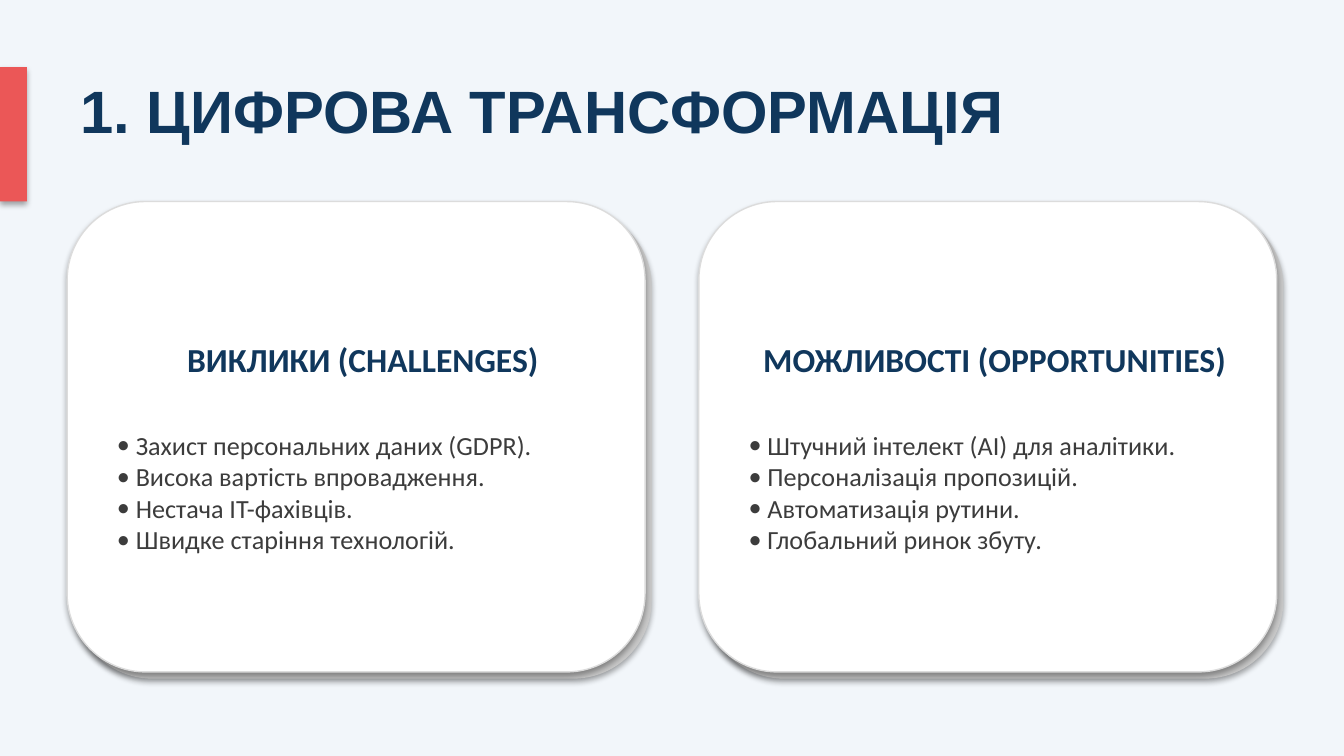
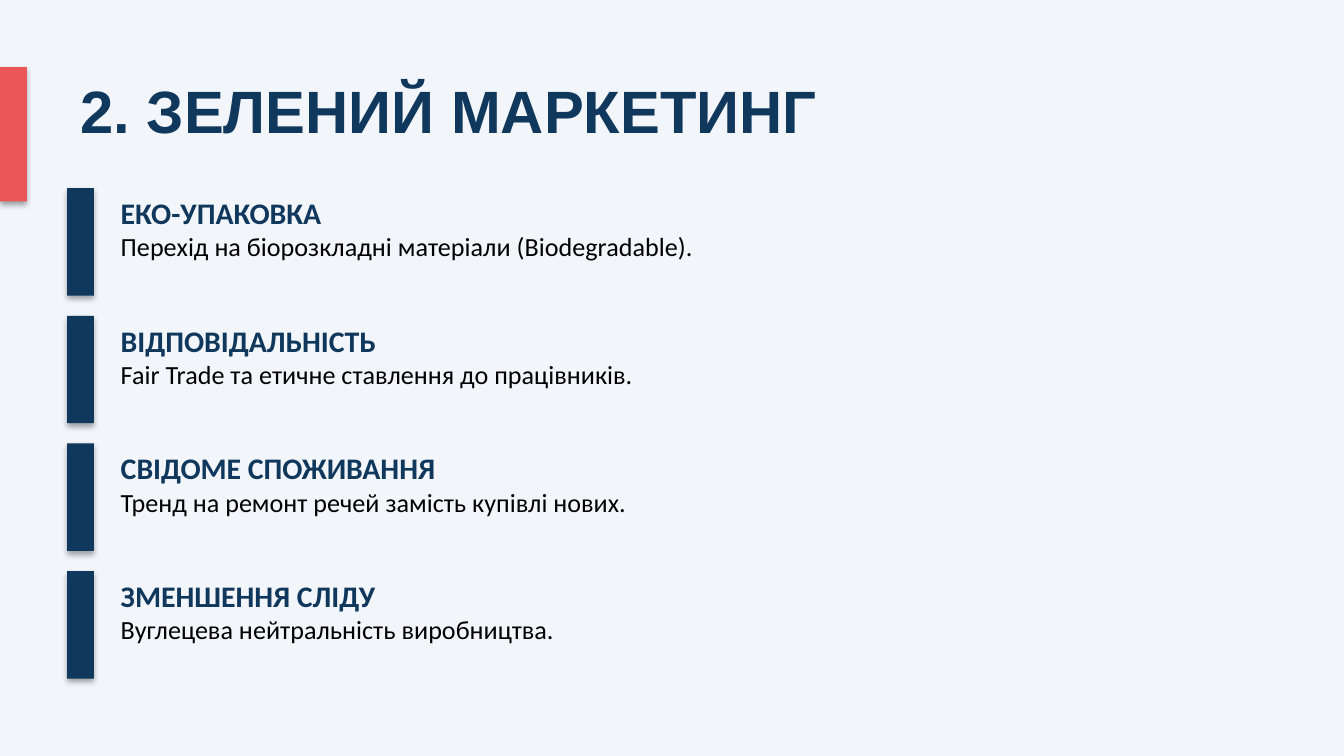
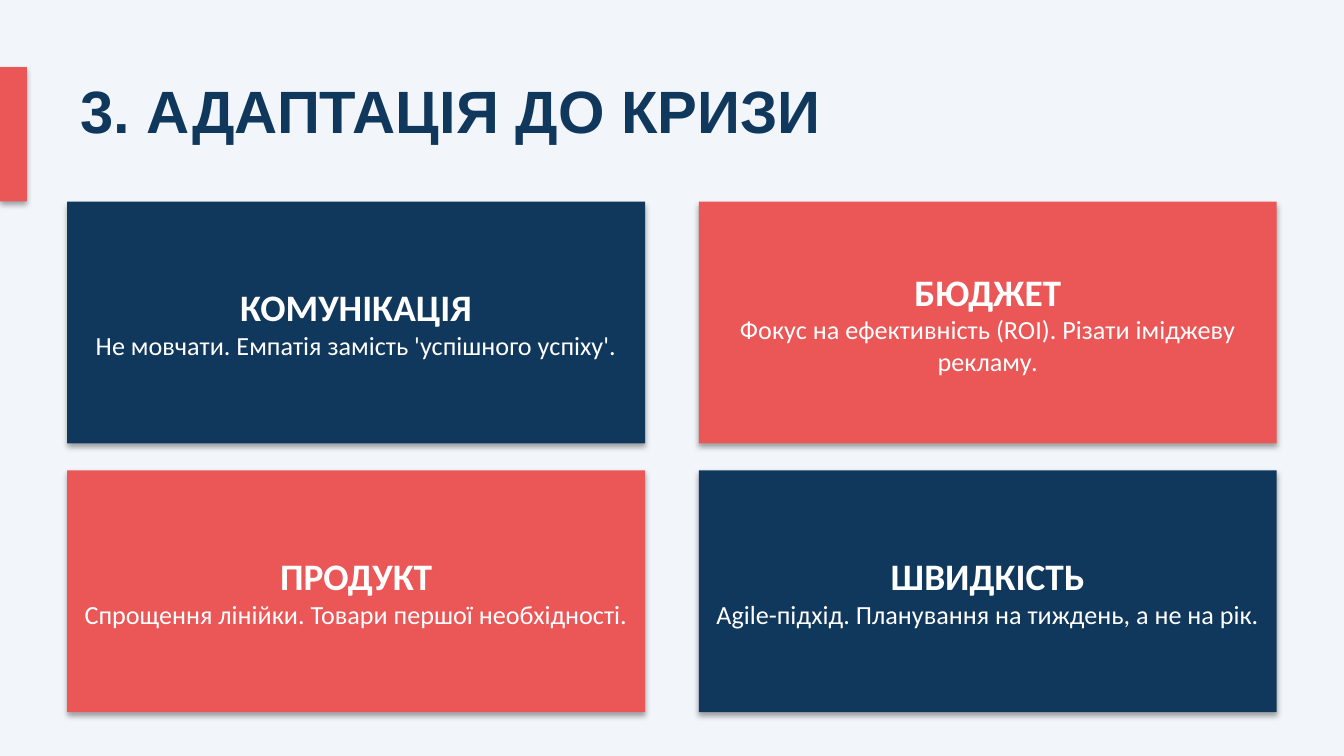
from dataclasses import dataclass

from lxml import etree
from pptx import Presentation
from pptx.dml.color import RGBColor
from pptx.enum.shapes import MSO_SHAPE as Preset
from pptx.enum.text import MSO_ANCHOR as Anchor, MSO_AUTO_SIZE as AutoSize, PP_ALIGN as Align
from pptx.oxml.ns import qn
from pptx.util import Inches, Pt

COLORS = {
    "background": "F2F6FA",
    "navy": "10375C",
    "coral": "EB5757",
    "white": "FFFFFF",
    "black": "000000",
    "body": "3C3C3C",
    "card_back": "C8C8C8",
    "card_edge": "DCDCDC",
}
LEFT, TOP = 0.5, 1.5
PANEL_WIDTH, COLUMN_STEP = 4.3, 4.7
CARD_HEIGHT, CARD_OFFSET = 3.5, 0.05
TOPIC_TOP, TOPIC_STEP = 1.4, 0.95
TILE_HEIGHT, ROW_STEP = 1.8, 2.0
BULLET_INDENT = 0.14


@dataclass
class Card:
    heading: str
    bullets: list[str]


@dataclass
class Topic:
    heading: str
    detail: str
    width: float


@dataclass
class Tile:
    heading: str
    detail: str
    color: str


CARDS = [
    Card("ВИКЛИКИ (CHALLENGES)", [
        "Захист персональних даних (GDPR).",
        "Висока вартість впровадження.",
        "Нестача IT-фахівців.",
        "Швидке старіння технологій.",
    ]),
    Card("МОЖЛИВОСТІ (OPPORTUNITIES)", [
        "Штучний інтелект (AI) для аналітики.",
        "Персоналізація пропозицій.",
        "Автоматизація рутини.",
        "Глобальний ринок збуту.",
    ]),
]
TOPICS = [
    Topic("ЕКО-УПАКОВКА", "Перехід на біорозкладні матеріали (Biodegradable).", 4.48),
    Topic("ВІДПОВІДАЛЬНІСТЬ", "Fair Trade та етичне ставлення до працівників.", 4.03),
    Topic("СВІДОМЕ СПОЖИВАННЯ", "Тренд на ремонт речей замість купівлі нових.", 3.98),
    Topic("ЗМЕНШЕННЯ СЛІДУ", "Вуглецева нейтральність виробництва.", 3.44),
]
TILES = [
    Tile("КОМУНІКАЦІЯ", "Не мовчати. Емпатія замість 'успішного успіху'.", "navy"),
    Tile("БЮДЖЕТ", "Фокус на ефективність (ROI). Різати іміджеву рекламу.", "coral"),
    Tile("ПРОДУКТ", "Спрощення лінійки. Товари першої необхідності.", "coral"),
    Tile("ШВИДКІСТЬ", "Agile-підхід. Планування на тиждень, а не на рік.", "navy"),
]


def rgb(name: str) -> RGBColor:
    return RGBColor.from_string(COLORS[name])


# Shapes keep the soft shadow of the theme
def add_block(page, left: float, top: float, width: float, height: float, fill: str,
              preset=Preset.RECTANGLE, edge: str | None = None):
    block = page.shapes.add_shape(
        preset, Inches(left), Inches(top), Inches(width), Inches(height))
    block.fill.solid()
    block.fill.fore_color.rgb = rgb(fill)
    if edge:
        block.line.color.rgb = rgb(edge)
        block.line.width = Pt(0.75)
    else:
        block.line.fill.background()
    block.text_frame.vertical_anchor = Anchor.MIDDLE
    return block


def add_label(page, left: float, top: float, width: float, height: float):
    label = page.shapes.add_textbox(
        Inches(left), Inches(top), Inches(width), Inches(height))
    label.text_frame.word_wrap = False
    label.text_frame.auto_size = AutoSize.SHAPE_TO_FIT_TEXT
    return label


def write(box, text: str, *, size: int, color: str, font: str = "Calibri", bold: bool = False,
          align=Align.LEFT, before: float = 0, bullet: bool = False) -> None:
    frame = box.text_frame
    para = frame.paragraphs[0]
    if para.runs:
        para = frame.add_paragraph()
    para.alignment = align
    if before:
        para.space_before = Pt(before)
    if bullet:
        settings = para._p.get_or_add_pPr()
        settings.set("marL", str(Inches(BULLET_INDENT)))
        settings.set("indent", str(-Inches(BULLET_INDENT)))
        etree.SubElement(settings, qn("a:buFont")).set("typeface", font)
        etree.SubElement(settings, qn("a:buChar")).set("char", "•")
    span = para.add_run()
    span.text = text
    span.font.name = font
    span.font.size = Pt(size)
    span.font.bold = bold
    span.font.color.rgb = rgb(color)


# Background, side accent and title of every slide
def add_page(deck, title: str, title_width: float):
    page = deck.slides.add_slide(deck.slide_layouts[6])
    page.background.fill.solid()
    page.background.fill.fore_color.rgb = rgb("background")
    add_block(page, 0, 0.5, 0.2, 1, "coral")
    label = add_label(page, LEFT, 0.5, title_width, 0.63)
    write(label, title, size=32, color="navy", font="Arial", bold=True)
    return page


def add_card(page, card: Card, left: float) -> None:
    add_block(page, left + CARD_OFFSET, TOP + CARD_OFFSET, PANEL_WIDTH, CARD_HEIGHT,
              "card_back", Preset.ROUNDED_RECTANGLE)
    front = add_block(page, left, TOP, PANEL_WIDTH, CARD_HEIGHT,
                      "white", Preset.ROUNDED_RECTANGLE, "card_edge")
    front.text_frame.margin_left = front.text_frame.margin_top = Inches(0.2)
    write(front, card.heading, size=18, color="navy", bold=True, align=Align.CENTER)
    for index, bullet in enumerate(card.bullets):
        write(front, bullet, size=14, color="body", bullet=True,
              before=27 if index == 0 else 0)


def add_topic(page, topic: Topic, top: float) -> None:
    add_block(page, LEFT, top, 0.2, 0.8, "navy")
    label = add_label(page, LEFT + 0.3, top, topic.width, 0.6)
    write(label, topic.heading, size=16, color="navy", bold=True)
    write(label, topic.detail, size=14, color="black")


def add_tile(page, tile: Tile, left: float, top: float) -> None:
    block = add_block(page, left, top, PANEL_WIDTH, TILE_HEIGHT, tile.color)
    write(block, tile.heading, size=20, color="white", bold=True, align=Align.CENTER)
    write(block, tile.detail, size=14, color="white", align=Align.CENTER)


def main() -> None:
    deck = Presentation()
    deck.slide_width = Inches(10)
    deck.slide_height = Inches(10) * 9 // 16

    # Digital transformation: two cards
    page = add_page(deck, "1. ЦИФРОВА ТРАНСФОРМАЦІЯ", 7.09)
    for column, card in enumerate(CARDS):
        add_card(page, card, LEFT + column * COLUMN_STEP)

    # Green marketing: list of topics
    page = add_page(deck, "2. ЗЕЛЕНИЙ МАРКЕТИНГ", 5.7)
    for row, topic in enumerate(TOPICS):
        add_topic(page, topic, TOPIC_TOP + row * TOPIC_STEP)

    # Crisis adaptation: two by two tiles
    page = add_page(deck, "3. АДАПТАЦІЯ ДО КРИЗИ", 5.73)
    for index, tile in enumerate(TILES):
        row, column = divmod(index, 2)
        add_tile(page, tile, LEFT + column * COLUMN_STEP, TOP + row * ROW_STEP)

    deck.save("out.pptx")


if __name__ == "__main__":
    main()
